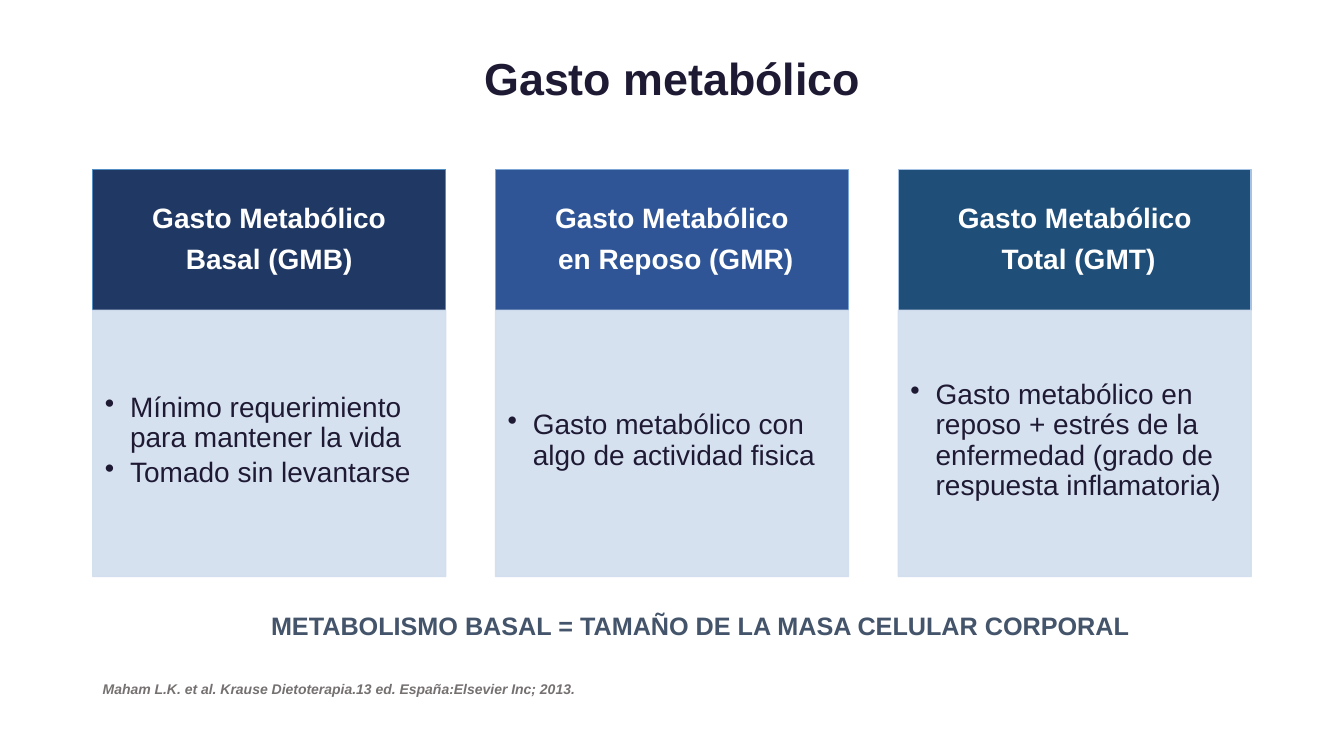
from dataclasses import dataclass

from lxml.etree import SubElement
from pptx import Presentation
from pptx.dml.color import RGBColor as Rgb
from pptx.enum.shapes import MSO_SHAPE as Preset
from pptx.enum.text import MSO_ANCHOR as Anchor, PP_ALIGN as Align
from pptx.oxml.ns import qn
from pptx.util import Inches, Pt

COLORS = {
    "ink": "1F1A34",
    "white": "FFFFFF",
    "panel": "D2DEEF",
    "conclusion": "44546A",
    "citation": "767171",
}
FONT = "Arial"
LEFT, COLUMN_WIDTH, COLUMN_STEP = 0.92, 3.5, 3.995
HEADER_TOP, HEADER_HEIGHT, PANEL_HEIGHT = 1.68, 1.4, 2.64


@dataclass
class Column:
    heading: list[str]
    points: list[str]
    fill: str
    line: str


COLUMNS = [
    Column(
        ["Gasto Metabólico", "Basal (GMB)"],
        ["Mínimo requerimiento para mantener la vida", "Tomado sin levantarse"],
        "203864",
        "538DC1",
    ),
    Column(
        ["Gasto Metabólico", " en Reposo (GMR)"],
        ["Gasto metabólico con algo de actividad fisica"],
        "2F5597",
        "7BA6D3",
    ),
    Column(
        ["Gasto Metabólico", " Total (GMT)"],
        ["Gasto metabólico en reposo + estrés de la enfermedad "
         "(grado de respuesta inflamatoria)"],
        "1F4E79",
        "A5C1E3",
    ),
]


def write_text(box, lines: list[str], *, size: float, color: str, bold: bool = False,
               italic: bool = False, align=Align.LEFT, anchor=Anchor.TOP,
               margins: tuple = (0.1, 0.05, 0.1, 0.05), spacing: float = 1.0,
               after: float = 0, bullet: bool = False, wrap: bool = True) -> None:
    frame = box.text_frame
    frame.word_wrap = wrap
    frame.vertical_anchor = anchor
    (frame.margin_left, frame.margin_top,
     frame.margin_right, frame.margin_bottom) = map(Inches, margins)
    for index, line in enumerate(lines):
        para = frame.add_paragraph() if index else frame.paragraphs[0]
        para.alignment = align
        para.line_spacing = spacing
        para.space_after = Pt(after)
        if bullet:
            properties = para._p.get_or_add_pPr()
            properties.set("marL", str(Inches(0.25)))
            properties.set("indent", str(Inches(-0.25)))
            SubElement(properties, qn("a:buChar"), char="•")
        span = para.add_run()
        span.text = line
        span.font.name = FONT
        span.font.size = Pt(size)
        span.font.bold = bold
        span.font.italic = italic
        span.font.color.rgb = Rgb.from_string(color)


def add_text(page, left: float, top: float, width: float, height: float,
             text: str, **style) -> None:
    box = page.shapes.add_textbox(*map(Inches, (left, top, width, height)))
    write_text(box, [text], **style)


def add_block(page, left: float, top: float, height: float, fill: str, line: str,
              opacity: int = 100):
    block = page.shapes.add_shape(
        Preset.RECTANGLE, *map(Inches, (left, top, COLUMN_WIDTH, height)))
    block.shadow.inherit = False
    block.fill.solid()
    block.fill.fore_color.rgb = Rgb.from_string(fill)
    block.line.color.rgb = Rgb.from_string(line)
    block.line.width = Pt(1)
    if opacity < 100:
        for color in block._element.spPr.iter(qn("a:srgbClr")):
            SubElement(color, qn("a:alpha"), val=str(opacity * 1000))
    return block


def add_column(page, left: float, column: Column) -> None:
    header = add_block(page, left, HEADER_TOP, HEADER_HEIGHT, column.fill, column.line)
    write_text(header, column.heading, size=20, color=COLORS["white"], bold=True,
               align=Align.CENTER, anchor=Anchor.MIDDLE,
               margins=(0.16, 0.09, 0.16, 0.09), spacing=0.9, after=8)
    panel = add_block(page, left, HEADER_TOP + HEADER_HEIGHT, PANEL_HEIGHT,
                      COLORS["panel"], COLORS["panel"], opacity=90)
    write_text(panel, column.points, size=20, color=COLORS["ink"],
               anchor=Anchor.MIDDLE, margins=(0.12, 0.12, 0.16, 0.17),
               spacing=0.9, after=3.5, bullet=True)


def main() -> None:
    deck = Presentation()
    deck.slide_width, deck.slide_height = Inches(13.33), Inches(7.5)
    page = deck.slides.add_slide(deck.slide_layouts[6])

    add_text(page, LEFT, 0.42, 11.5, 0.77, "Gasto metabólico", size=32,
             color=COLORS["ink"], bold=True, align=Align.CENTER,
             anchor=Anchor.MIDDLE, spacing=0.9)
    for index, column in enumerate(COLUMNS):
        add_column(page, LEFT + index * COLUMN_STEP, column)
    add_text(page, 2.59, 6.01, 8.8, 0.4,
             "METABOLISMO BASAL = TAMAÑO DE LA MASA CELULAR CORPORAL",
             size=18, color=COLORS["conclusion"], bold=True, wrap=False)
    add_text(page, LEFT, 6.7, 5.94, 0.27,
             "Maham L.K. et al. Krause Dietoterapia.13 ed. España:Elsevier Inc; 2013.",
             size=10, color=COLORS["citation"], bold=True, italic=True)

    deck.save("out.pptx")


if __name__ == "__main__":
    main()
